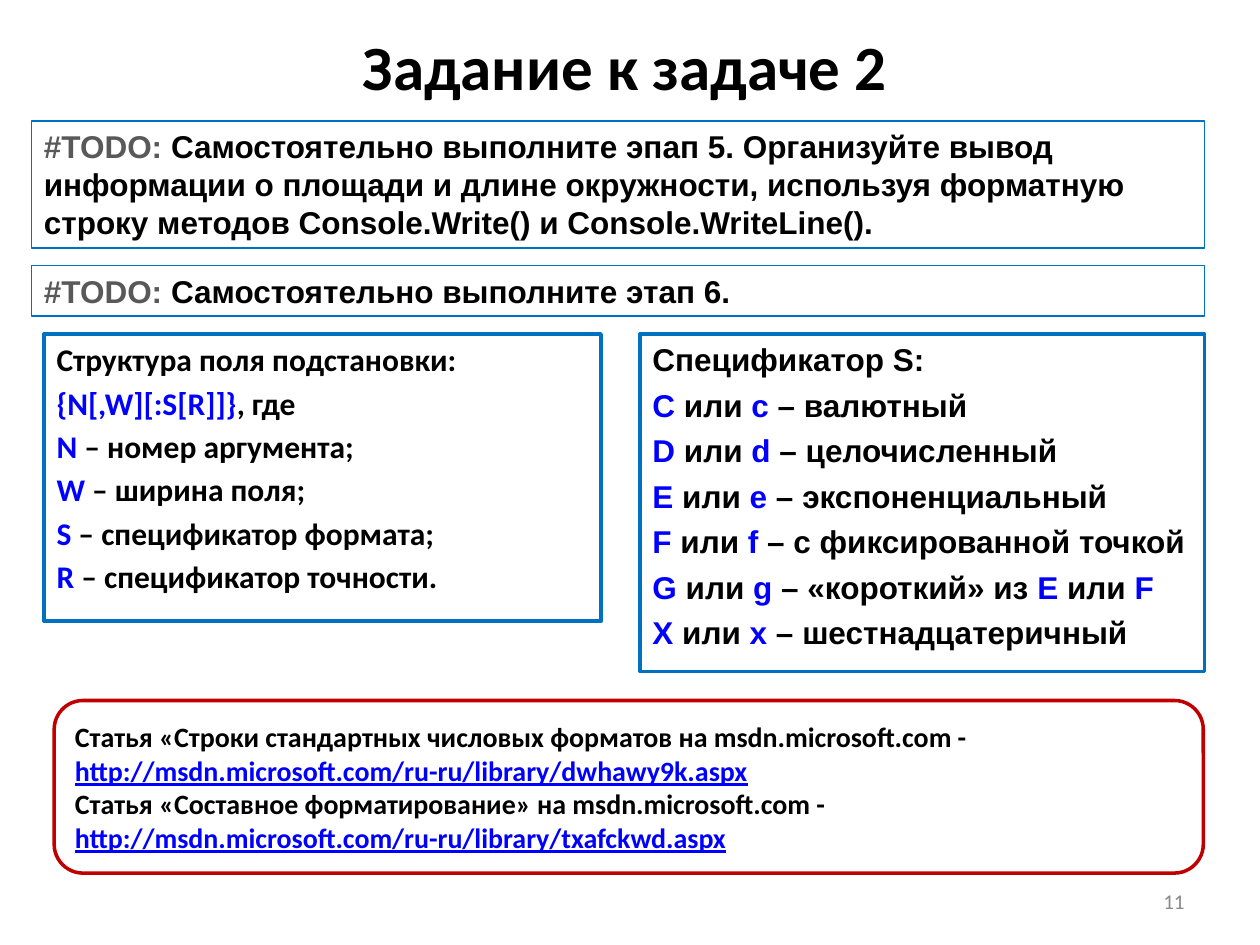
from pptx import Presentation
from pptx.dml.color import RGBColor
from pptx.enum.shapes import MSO_SHAPE
from pptx.enum.text import MSO_ANCHOR, PP_ALIGN
from pptx.util import Inches, Pt

RECT, ROUNDED = MSO_SHAPE.RECTANGLE, MSO_SHAPE.ROUNDED_RECTANGLE
TOP, MIDDLE = MSO_ANCHOR.TOP, MSO_ANCHOR.MIDDLE
LEFT, CENTER, RIGHT = PP_ALIGN.LEFT, PP_ALIGN.CENTER, PP_ALIGN.RIGHT

BLACK = RGBColor(0x00, 0x00, 0x00)
WHITE = RGBColor(0xFF, 0xFF, 0xFF)
DARK_GRAY = RGBColor(0x59, 0x59, 0x59)
GRAY = RGBColor(0x89, 0x89, 0x89)
BLUE = RGBColor(0x00, 0x00, 0xFF)
BORDER_BLUE = RGBColor(0x00, 0x70, 0xC0)
RED = RGBColor(0xC0, 0x00, 0x00)

TITLE_ONLY = 5
ACCENT_MARK = "|"

TODO_STAGE_5 = ("|#TODO: |Самостоятельно выполните эпап 5. Организуйте вывод "
                "информации о площади и длине окружности, используя форматную "
                "строку методов Console.Write() и Console.WriteLine().")
TODO_STAGE_6 = "|#TODO: |Самостоятельно выполните этап 6."
FIELD_STRUCTURE = [
    "Структура поля подстановки:",
    "|{N[,W][:S[R]]}|, где",
    "|N| – номер аргумента;",
    "|W| – ширина поля;",
    "|S| – спецификатор формата;",
    "|R| – спецификатор точности.",
]
SPECIFIERS = [
    "Спецификатор S:",
    "|С| или |с| – валютный",
    "|D| или |d| – целочисленный",
    "|E| или |e| – экспоненциальный",
    "|F| или |f| – с фиксированной точкой",
    "|G| или |g| – «короткий» из |E| или |F",
    "|X| или |x| – шестнадцатеричный",
]
ARTICLES = [
    "Статья «Строки стандартных числовых форматов на msdn.microsoft.com - "
    "|http://msdn.microsoft.com/ru-ru/library/dwhawy9k.aspx",
    "Статья «Составное форматирование» на msdn.microsoft.com - "
    "|http://msdn.microsoft.com/ru-ru/library/txafckwd.aspx",
]


def write_text(tf, lines, font="Arial", size=18, color=BLACK, accent=BLUE,
               bold=True, underline_accent=False, align=LEFT, anchor=TOP,
               gap=0, hanging=0):
    tf.word_wrap = True
    tf.vertical_anchor = anchor
    for i, line in enumerate(lines):
        p = tf.add_paragraph() if i else tf.paragraphs[0]
        p.alignment = align
        if i and gap:
            p.space_before = Pt(gap)
        if hanging:
            pPr = p._p.get_or_add_pPr()
            pPr.set("marL", str(Inches(hanging)))
            pPr.set("indent", str(-Inches(hanging)))
        for j, part in enumerate(line.split(ACCENT_MARK)):
            if not part:
                continue
            is_accent = j % 2 == 1
            r = p.add_run()
            r.text = part
            r.font.name = font
            r.font.size = Pt(size)
            r.font.bold = bold
            r.font.color.rgb = accent if is_accent else color
            if is_accent and underline_accent:
                r.font.underline = True


def add_frame(s, box, shape=RECT, fill=None, line=BORDER_BLUE, width=2):
    sp = s.shapes.add_shape(shape, *map(Inches, box))
    sp.shadow.inherit = False
    if fill is None:
        sp.fill.background()
    else:
        sp.fill.solid()
        sp.fill.fore_color.rgb = fill
    sp.line.color.rgb = line
    sp.line.width = Pt(width)
    return sp.text_frame


def add_title(s, box, text):
    title = s.shapes.title
    title.left, title.top, title.width, title.height = map(Inches, box)
    write_text(title.text_frame, [text], font="Calibri", size=36,
               align=CENTER, anchor=MIDDLE)


def add_todo(s, box, text):
    write_text(add_frame(s, box, width=0.75), [text], accent=DARK_GRAY)


def add_reference(s, box, lines, font, gap):
    write_text(add_frame(s, box), lines, font=font, gap=gap, hanging=0.38)


def add_articles(s, box, lines):
    tf = add_frame(s, box, shape=ROUNDED, fill=WHITE, line=RED)
    write_text(tf, lines, font="Calibri", size=16, underline_accent=True,
               anchor=MIDDLE)


def add_page_number(s, box, number):
    sp = s.shapes.add_textbox(*map(Inches, box))
    write_text(sp.text_frame, [number], font="Calibri", size=12, color=GRAY,
               bold=False, align=RIGHT, anchor=MIDDLE)


def main():
    prs = Presentation()
    prs.slide_width, prs.slide_height = Inches(10), Inches(7.5)
    s = prs.slides.add_slide(prs.slide_layouts[TITLE_ONLY])
    add_title(s, (0.46, 0.09, 9, 0.85), "Задание к задаче 2")
    add_page_number(s, (7.17, 6.95, 2.33, 0.4), "11")
    add_todo(s, (0.25, 0.96, 9.31, 1.01), TODO_STAGE_5)
    add_todo(s, (0.25, 2.11, 9.31, 0.4), TODO_STAGE_6)
    add_reference(s, (0.35, 2.65, 4.42, 2.28), FIELD_STRUCTURE, "Calibri", 3.2)
    add_articles(s, (0.43, 5.56, 9.12, 1.37), ARTICLES)
    add_reference(s, (5.08, 2.65, 4.48, 2.68), SPECIFIERS, "Arial", 4.4)
    prs.save("out.pptx")


if __name__ == "__main__":
    main()
